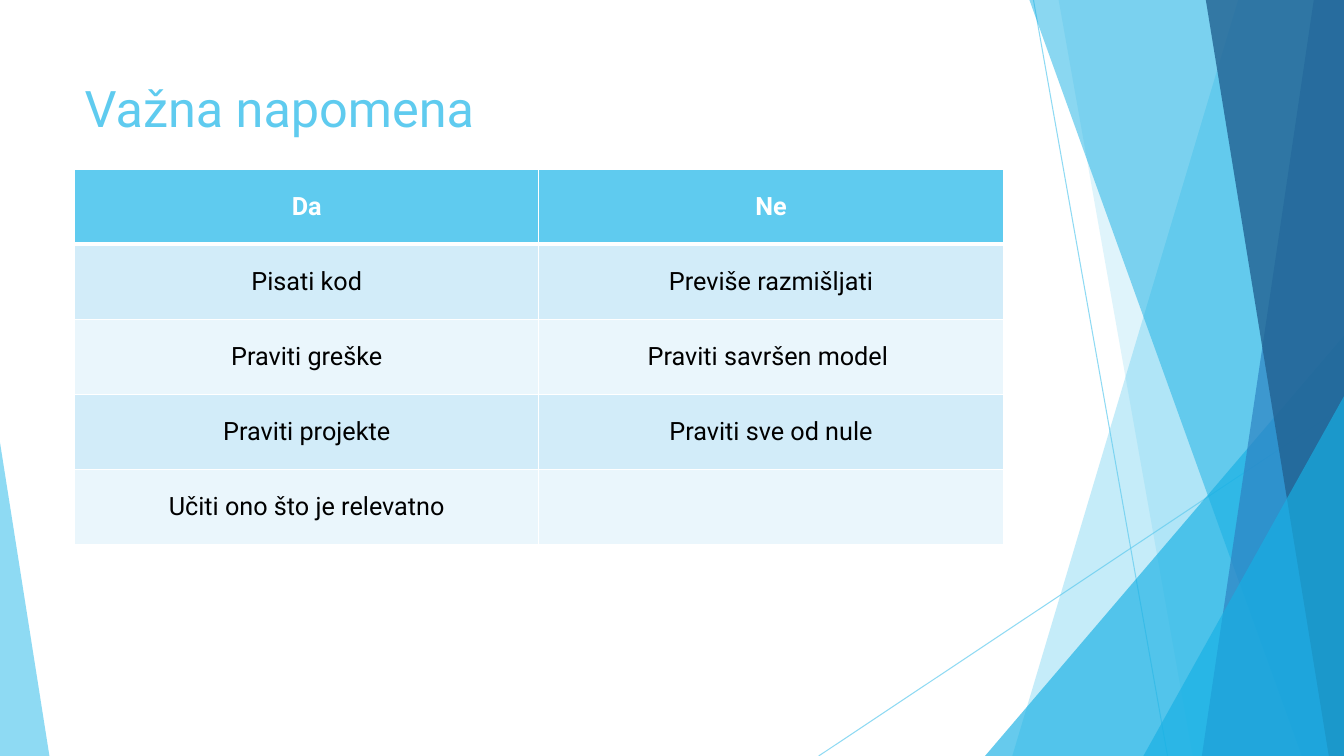
from lxml import etree
from pptx import Presentation
from pptx.dml.color import RGBColor
from pptx.enum.shapes import MSO_CONNECTOR, MSO_SHAPE
from pptx.enum.text import MSO_ANCHOR, PP_ALIGN
from pptx.oxml.ns import qn
from pptx.util import Inches, Pt

STRAIGHT, TRIANGLE = MSO_CONNECTOR.STRAIGHT, MSO_SHAPE.ISOSCELES_TRIANGLE
MIDDLE, LEFT, CENTER = MSO_ANCHOR.MIDDLE, PP_ALIGN.LEFT, PP_ALIGN.CENTER

# Content
TITLE = "Važna napomena"
ROWS = [
    ("Da", "Ne"),
    ("Pisati kod", "Previše razmišljati"),
    ("Praviti greške", "Praviti savršen model "),
    ("Praviti projekte", "Praviti sve od nule"),
    ("Učiti ono što je relevatno", ""),
]


class Theme:
    font = "Roboto"
    title_size, table_size = 36, 18
    sky, cyan, blue, navy = "5FCBEF", "17B0E4", "2E83C3", "226292"
    white, black = "FFFFFF", "000000"
    bands = ("D2ECF9", "EAF6FC")


# Layout in inches
W, H = 13.33, 7.5
MARGIN = 0.74
TITLE_BOX = (MARGIN, 0.67, 9.08, 0.79)
TABLE_LEFT, TABLE_TOP, TABLE_W, ROW_H = MARGIN, 1.68, 9.21, 0.744

# Decoration: rays (start, end), then facets from back to front.
# A band runs from its top x and bottom x to the right edge of the slide;
# a corner stands on the bottom edge: left, width, height, apex side.
RAYS = [((10.25, 0), (11.58, H)), ((W, 4.03), (8.12, H))]
FACETS = [
    ("band", (12.28, 10.04), Theme.sky, 36),
    ("band", (10.5, 11.83), Theme.sky, 20),
    ("corner", (9.77, 3.56, 4.17, 1), Theme.cyan, 66),
    ("band", (10.21, 12.91), Theme.cyan, 50),
    ("band", (13.03, 11.92), Theme.blue, 70),
    ("band", (11.96, 13.18), Theme.navy, 80),
    ("corner", (11.34, 1.99, 3.57, 1), Theme.cyan, 66),
    ("corner", (0, 0.49, 3.11, 0), Theme.sky, 70),
]


def inches(*values):
    return [Inches(v) for v in values]


def paint(fill, color, opacity=100):
    fill.solid()
    fill.fore_color.rgb = RGBColor.from_string(color)
    if opacity < 100:
        for clr in fill._xPr.iter(qn("a:srgbClr")):
            etree.SubElement(clr, qn("a:alpha"), val=str(opacity * 1000))


def style_text(tf, size, color, align, bold=False):
    p = tf.paragraphs[0]
    p.alignment = align
    for r in p.runs:
        r.font.name, r.font.size, r.font.bold = Theme.font, Pt(size), bold
        r.font.color.rgb = RGBColor.from_string(color)


def add_ray(s, start, end):
    ray = s.shapes.add_connector(STRAIGHT, *inches(*start, *end))
    ray.line.width = Pt(0.75)
    paint(ray.line.fill, Theme.sky, 70)
    etree.SubElement(ray._element.spPr, qn("a:effectLst"))


def add_facet(s, kind, geometry, color, opacity):
    if kind == "band":
        top_x, bottom_x = geometry
        outline = s.shapes.build_freeform(*inches(top_x, 0), scale=1.0)
        corners = [(W, 0), (W, H), (bottom_x, H)]
        outline.add_line_segments([inches(*c) for c in corners], close=True)
        sp = outline.convert_to_shape()
    else:
        left, width, height, apex = geometry
        sp = s.shapes.add_shape(TRIANGLE, *inches(left, H - height, width, height))
        sp.adjustments[0] = apex
    sp.shadow.inherit = False
    sp.line.fill.background()
    paint(sp.fill, color, opacity)


def set_borders(cell, widths):
    tcPr = cell._tc.get_or_add_tcPr()
    for side, width in zip("LRTB", widths):
        ln = etree.SubElement(tcPr, qn("a:ln" + side), w=str(Pt(width)))
        fill = etree.SubElement(ln, qn("a:solidFill"))
        etree.SubElement(fill, qn("a:srgbClr"), val=Theme.white)


def add_table(s):
    n_rows, n_cols = len(ROWS), len(ROWS[0])
    box = inches(TABLE_LEFT, TABLE_TOP, TABLE_W, ROW_H * n_rows)
    table = s.shapes.add_table(n_rows, n_cols, *box).table
    for i, row in enumerate(ROWS):
        table.rows[i].height = Inches(ROW_H)
        header = i == 0
        for j, text in enumerate(row):
            cell = table.cell(i, j)
            cell.text_frame.text = text
            cell.vertical_anchor = MIDDLE
            style_text(cell.text_frame, Theme.table_size,
                       Theme.white if header else Theme.black, CENTER, header)
            set_borders(cell, (1, 1, 3 if i == 1 else 1, 3 if header else 1))
            paint(cell.fill, Theme.sky if header else Theme.bands[(i - 1) % 2])


def main():
    prs = Presentation()
    prs.slide_width, prs.slide_height = inches(W, H)
    s = prs.slides.add_slide(prs.slide_layouts[5])
    paint(s.background.fill, Theme.white)

    # Decoration
    for start, end in RAYS:
        add_ray(s, start, end)
    for facet in FACETS:
        add_facet(s, *facet)

    # Title
    title = s.shapes.title
    title.left, title.top, title.width, title.height = inches(*TITLE_BOX)
    title.text_frame.text = TITLE
    title.text_frame.vertical_anchor = MIDDLE
    style_text(title.text_frame, Theme.title_size, Theme.sky, LEFT)

    # Do and don't table
    add_table(s)
    prs.save("out.pptx")


if __name__ == "__main__":
    main()
